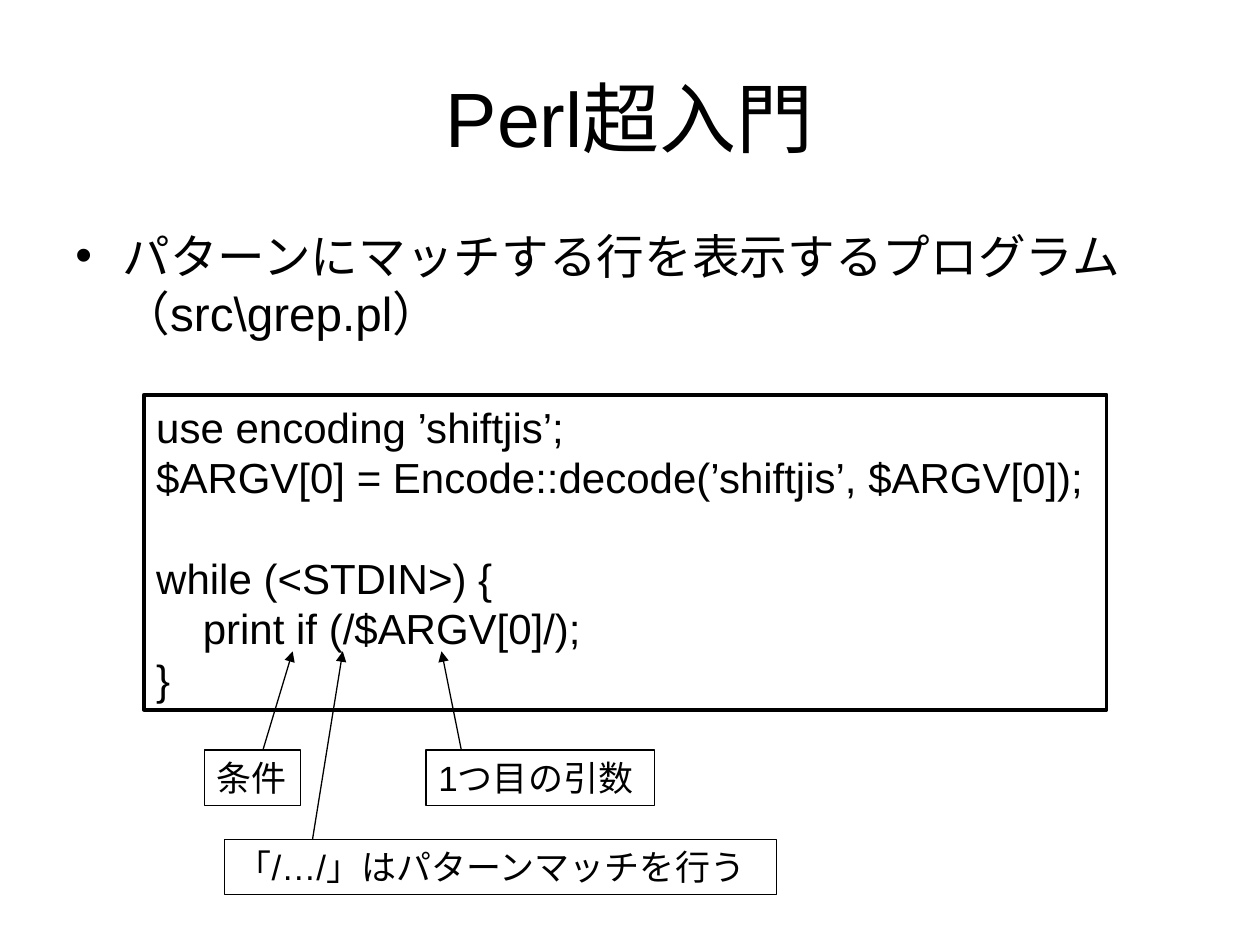
import pptx
import pptx.dml.color
import pptx.enum.shapes
import pptx.enum.text
import pptx.oxml.ns
import pptx.util
from lxml import etree

Cm = pptx.util.Cm
Pt = pptx.util.Pt
Align = pptx.enum.text.PP_ALIGN
Anchor = pptx.enum.text.MSO_ANCHOR
AutoSize = pptx.enum.text.MSO_AUTO_SIZE
COLORS = {"ink": "000000"}
FONT = "Arial"
CODE_SIZE = 24
CODE_PITCH = 28.8
CODE_INDENT = 0.94
TIP_Y = 13.13

CODE = [
    ("use encoding ’shiftjis’;", 0, 0),
    ("$ARGV[0] = Encode::decode(’shiftjis’, $ARGV[0]);", 0, 0),
    ("while (<STDIN>) {", 0, CODE_PITCH),
    ("print if (/$ARGV[0]/);", 1, 0),
    ("}", 0, 0),
]
CALLOUTS = [
    ("1つ目の引数", (8.59, 15.12, 4.6, 1.12), 0.71, 8.9),
    ("条件", (4.12, 15.12, 1.94, 1.12), 1.18, 5.9),
    ("「/…/」はパターンマッチを行う", (4.52, 16.92, 11.13, 1.12), 1.78, 6.91),
]


def ink():
    return pptx.dml.color.RGBColor.from_string(COLORS["ink"])


def write(paragraph, text, size, align=Align.LEFT, before=0, pitch=None, indent=0):
    paragraph.text = text
    paragraph.alignment = align
    paragraph.space_before = Pt(before)
    if pitch:
        paragraph.line_spacing = Pt(pitch)
    if indent:
        paragraph._p.get_or_add_pPr().set("marL", str(Cm(indent)))
    for run in paragraph.runs:
        run.font.name = FONT
        run.font.size = Pt(size)
        run.font.color.rgb = ink()


def add_frame(slide, box, border=None, hug=False):
    area = slide.shapes.add_textbox(*map(Cm, box))
    area.text_frame.word_wrap = not hug
    if hug:
        area.text_frame.auto_size = AutoSize.SHAPE_TO_FIT_TEXT
    if border:
        area.line.color.rgb = ink()
        area.line.width = Pt(border)
    return area.text_frame


def place_title(slide, box, text):
    title = slide.shapes.title
    title.left, title.top, title.width, title.height = map(Cm, box)
    title.text_frame.vertical_anchor = Anchor.MIDDLE
    write(title.text_frame.paragraphs[0], text, 44, align=Align.CENTER)


def place_summary(slide, box, text):
    summary = add_frame(slide, box).paragraphs[0]
    write(summary, text, 27.2, indent=0.95)
    properties = summary._p.get_or_add_pPr()
    properties.set("indent", str(-Cm(0.95)))
    for tag, key, value in (("a:buFont", "typeface", FONT), ("a:buChar", "char", "•")):
        etree.SubElement(properties, pptx.oxml.ns.qn(tag)).set(key, value)


def place_code(slide, box, lines):
    listing = add_frame(slide, box, border=2)
    for number, (text, level, before) in enumerate(lines):
        line = listing.add_paragraph() if number else listing.paragraphs[0]
        write(line, text, CODE_SIZE, before=before, pitch=CODE_PITCH,
              indent=level * CODE_INDENT)


def place_callout(slide, box, text, start_offset, tip_x):
    label = add_frame(slide, box, border=0.75, hug=True)
    write(label.paragraphs[0], text, 20)
    left, top = box[:2]
    arrow = slide.shapes.add_connector(
        pptx.enum.shapes.MSO_CONNECTOR.STRAIGHT,
        Cm(left + start_offset), Cm(top), Cm(tip_x), Cm(TIP_Y))
    arrow.line.color.rgb = ink()
    arrow.line.width = Pt(0.75)
    head = etree.SubElement(arrow.line._get_or_add_ln(), pptx.oxml.ns.qn("a:tailEnd"))
    head.set("type", "triangle")
    etree.SubElement(arrow._element.spPr, pptx.oxml.ns.qn("a:effectLst"))


def main():
    deck = pptx.Presentation()
    deck.slide_width, deck.slide_height = Cm(25.4), Cm(19.05)
    slide = deck.slides.add_slide(deck.slide_layouts.get_by_name("Title Only"))
    place_title(slide, (1.27, 0.76, 22.86, 3.18), "Perl超入門")
    place_summary(slide, (1.27, 4.45, 23.62, 3.07),
                  "パターンにマッチする行を表示するプログラム\n（src\\grep.pl）")
    place_code(slide, (2.9, 7.96, 19.41, 6.35), CODE)
    for text, box, start_offset, tip_x in CALLOUTS:
        place_callout(slide, box, text, start_offset, tip_x)
    deck.save("out.pptx")


if __name__ == "__main__":
    main()
